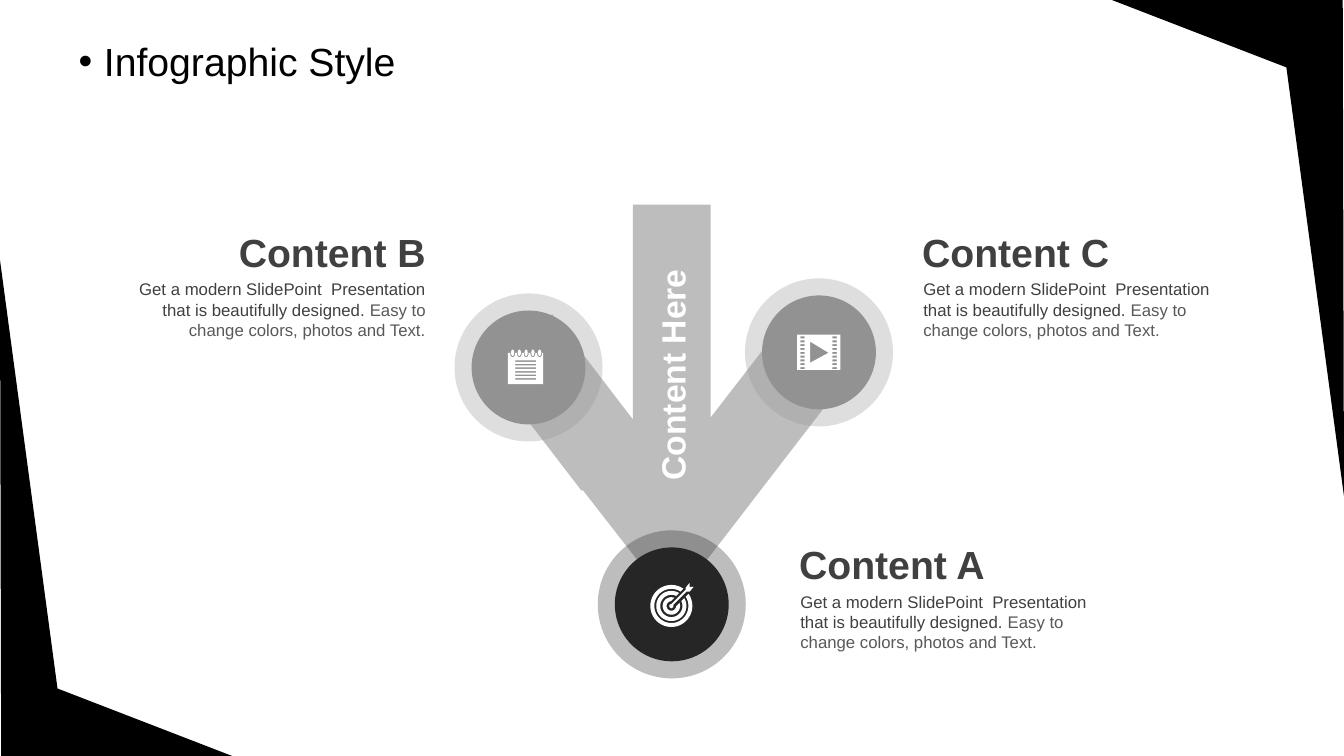
import math

import lxml.etree
import pptx
import pptx.dml.color
import pptx.enum.shapes
import pptx.enum.text
import pptx.oxml.ns
import pptx.util

Cm = pptx.util.Cm
Pt = pptx.util.Pt
RGB = pptx.dml.color.RGBColor
ALIGN = pptx.enum.text.PP_ALIGN
ANCHOR = pptx.enum.text.MSO_ANCHOR
qn = pptx.oxml.ns.qn

BLACK = RGB(0x00, 0x00, 0x00)
WHITE = RGB(0xFF, 0xFF, 0xFF)
CHARCOAL = RGB(0x26, 0x26, 0x26)
GRAY = RGB(0x92, 0x92, 0x92)
HEADING = RGB(0x40, 0x40, 0x40)
BODY = RGB(0x59, 0x59, 0x59)

WIDTH, HEIGHT = 33.87, 19.05
FONT = "Arial"
TITLE = "Infographic Style"
TRUNK_LABEL = "Content Here"
LEAD = "Get a modern SlidePoint  Presentation that is beautifully designed. "
DETAIL = "Easy to change colors, photos and Text."

CONTENTS = [
    ("Content A", 19.89, 13.49, 8.13, ALIGN.LEFT),
    ("Content C", 22.99, 5.61, 8.23, ALIGN.LEFT),
    ("Content B", 2.67, 5.61, 8.31, ALIGN.RIGHT),
]
NODES = [(16.93, 15.23, CHARCOAL), (13.32, 9.26, GRAY), (20.64, 8.88, GRAY)]
HALO, DISC = 3.73, 2.87

CORNER = [(0.03, 19.05), (0, 6.55), (1.45, 17.35), (5.85, 19.05)]
BRANCHES = [
    (16.94, 15.24), (18.24, 13.56), (21.62, 9.17), (19.96, 7.87),
    (17.91, 10.52), (17.91, 5.16), (15.95, 5.16), (15.95, 10.57),
    (13.92, 7.92), (12.24, 9.22), (14.66, 12.37), (14.68, 12.34),
]
BULLSEYE = (16.92, 15.27)
BULLSEYE_RINGS = [(0.53, 0.43), (0.38, 0.28), (0.22, 0.12)]
BULLSEYE_GAP = 0.09
DART = [
    (0.46, -0.58), (0.46, -0.48), (0.56, -0.48), (0.46, -0.36), (0.38, -0.36),
    (0.05, -0.03), (0.05, 0.03), (0, 0.06), (-0.05, 0.03), (-0.05, -0.03),
    (0, -0.05), (0.36, -0.41), (0.36, -0.46),
]

deck = pptx.Presentation()
deck.slide_width, deck.slide_height = Cm(WIDTH), Cm(HEIGHT)
slide = deck.slides.add_slide(deck.slide_layouts[6])


def paint(shape, color, opacity=100):
    shape.shadow.inherit = False
    shape.fill.solid()
    shape.fill.fore_color.rgb = color
    shape.line.fill.background()
    if opacity < 100:
        tint = shape.element.spPr.find(".//" + qn("a:srgbClr"))
        lxml.etree.SubElement(tint, qn("a:alpha"), val=str(opacity * 1000))


def outline(contours, color, opacity=100):
    builder = None
    for contour in contours:
        points = [(Cm(x), Cm(y)) for x, y in contour]
        if builder is None:
            builder = slide.shapes.build_freeform(*points[0])
        else:
            builder.move_to(*points[0])
        builder.add_line_segments(points[1:], close=True)
    paint(builder.convert_to_shape(), color, opacity)


def circle(x, y, diameter, color, opacity=100):
    paint(slide.shapes.add_shape(
        pptx.enum.shapes.MSO_SHAPE.OVAL, Cm(x - diameter / 2),
        Cm(y - diameter / 2), Cm(diameter), Cm(diameter)), color, opacity)


def text(left, top, width, height, runs, size, bold=False,
         align=ALIGN.LEFT, anchor=ANCHOR.TOP, grow=True):
    box = slide.shapes.add_textbox(Cm(left), Cm(top), Cm(width), Cm(height))
    frame = box.text_frame
    frame.word_wrap = True
    frame.vertical_anchor = anchor
    if grow:
        frame.auto_size = pptx.enum.text.MSO_AUTO_SIZE.SHAPE_TO_FIT_TEXT
    paragraph = frame.paragraphs[0]
    paragraph.alignment = align
    for words, color in runs:
        run = paragraph.add_run()
        run.text = words
        run.font.name = FONT
        run.font.size = Pt(size)
        run.font.bold = bold
        run.font.color.rgb = color
    return box


def rectangle(x, y, width, height):
    return [(x, y), (x + width, y), (x + width, y + height), (x, y + height)]


def arc(x, y, radius_x, radius_y, start, end, steps=40):
    angles = [start + (end - start) * i / steps for i in range(steps + 1)]
    return [(x + radius_x * math.cos(a), y - radius_y * math.sin(a)) for a in angles]


def split_ring(x, y, outer, inner):
    edges = []
    for radius in (outer, inner):
        gap = math.asin(BULLSEYE_GAP / radius)
        edges.append(arc(x, y, radius, radius, math.pi / 4 + gap,
                         math.pi * 9 / 4 - gap))
    return edges[0] + edges[1][::-1]


outline([CORNER], BLACK)
outline([[(WIDTH - x, HEIGHT - y) for x, y in CORNER]], BLACK)

title = text(1.73, 0.94, 32.16, 2.01, [(TITLE, BLACK)], 28, grow=False)
heading = title.text_frame.paragraphs[0]
heading.line_spacing = 0.9
indent = heading._p.get_or_add_pPr()
indent.set("marL", str(Cm(0.64)))
indent.set("indent", str(-Cm(0.64)))
lxml.etree.SubElement(indent, qn("a:buFont"), typeface=FONT)
lxml.etree.SubElement(indent, qn("a:buChar"), char="•")

outline([BRANCHES], CHARCOAL, 30)
for diameter, opacity in ((HALO, 30), (DISC, 100)):
    for x, y, color in NODES:
        circle(x, y, diameter, color, opacity)

for name, left, top, width, align in CONTENTS:
    text(left, top, width, 1.45, [(name, HEADING)], 28, True, align, ANCHOR.MIDDLE)
    text(left + 0.03, top + 1.3, width - 0.03, 1.8,
         [(LEAD, HEADING), (DETAIL, BODY)], 12, align=align)

trunk = text(13.51, 8.81, 6.86, 1.27, [(TRUNK_LABEL, WHITE)], 24, True,
             ALIGN.CENTER, ANCHOR.MIDDLE)
trunk.rotation = 270

notepad = [rectangle(12.8, 8.89, 0.89, 0.79)]
for row in range(6):
    notepad.append(rectangle(12.98, 9.08 + 0.09 * row, 0.53, 0.04))
for ring in range(5):
    middle = 12.92 + 0.17 * ring
    notepad.append(arc(middle, 8.93, 0.06, 0.07, math.pi, 2 * math.pi, 8)
                   + [(middle + 0.06, 8.89), (middle - 0.06, 8.89)])
    notepad.append(arc(middle, 8.89, 0.04, 0.08, 0, 2 * math.pi, 16))
outline(notepad, WHITE)

film = [rectangle(20.09, 8.43, 1.09, 0.89),
        [(20.42, 8.61), (20.42, 9.14), (20.88, 8.89)]]
for row in range(9):
    for column in (20.17, 20.98):
        film.append(rectangle(column, 8.48 + 0.77 / 8 * row, 0.11, 0.05))
outline(film, WHITE)

target = [split_ring(*BULLSEYE, *radii) for radii in BULLSEYE_RINGS]
target.append([(BULLSEYE[0] + x, BULLSEYE[1] + y) for x, y in DART])
outline(target, WHITE)

deck.save("out.pptx")
